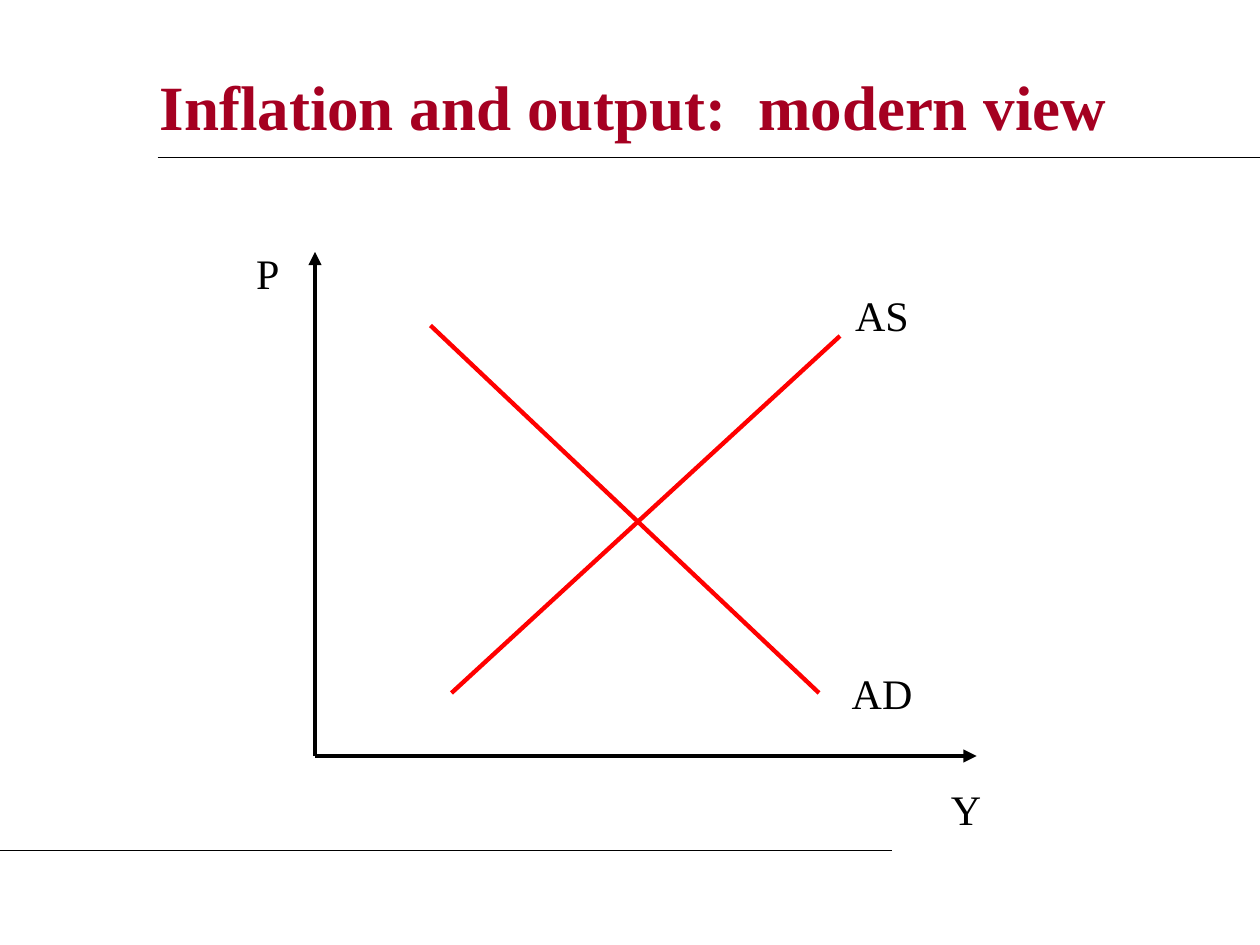
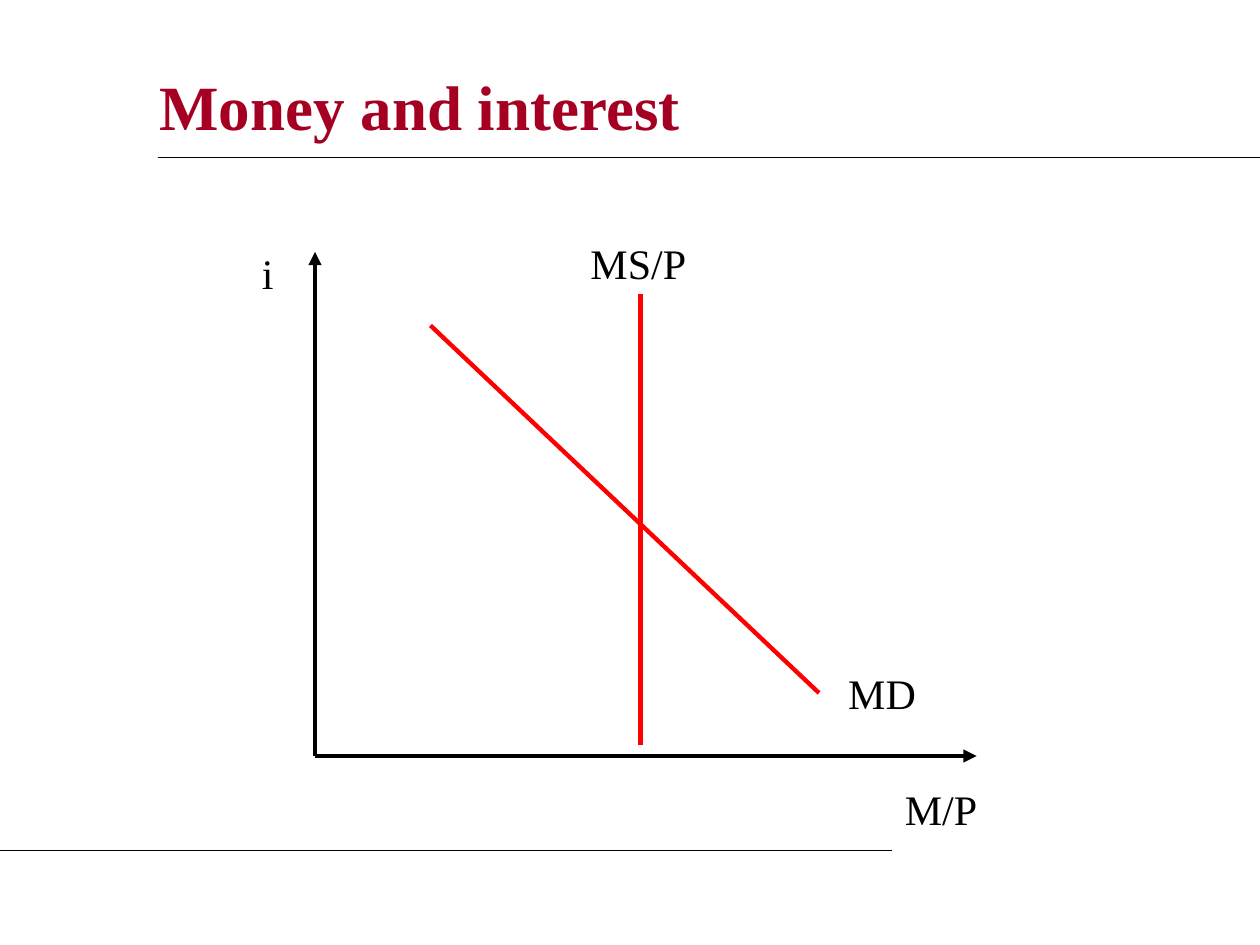
from dataclasses import dataclass

from lxml.etree import SubElement
from pptx import Presentation
from pptx.dml.color import RGBColor
from pptx.enum.shapes import MSO_CONNECTOR
from pptx.enum.text import MSO_ANCHOR, MSO_AUTO_SIZE, PP_ALIGN
from pptx.oxml.ns import qn
from pptx.util import Emu, Pt

PX = 7620  # EMU per px, 120 px to the inch
PAGE_WIDTH, PAGE_HEIGHT = 1200, 900
LABEL_HEIGHT = 60


@dataclass(frozen=True)
class Theme:
    font: str = "Times New Roman"
    title_color: RGBColor = RGBColor(0xA5, 0x00, 0x21)
    ink: RGBColor = RGBColor(0x00, 0x00, 0x00)
    curve: RGBColor = RGBColor(0xFF, 0x00, 0x00)
    title_size: float = 36
    label_size: float = 24
    rule_width: float = 0.75
    plot_width: float = 2.5


@dataclass(frozen=True)
class Box:
    left: int
    top: int
    width: int
    height: int

    def point(self, x, y):
        return self.left + x, self.top + y


@dataclass(frozen=True)
class Label:
    text: str
    x: int
    y: int
    width: int
    align: PP_ALIGN = PP_ALIGN.CENTER


THEME = Theme()
TITLE_BOX = Box(140, 50, 1020, 100)
PLOT_BOX = Box(300, 240, 630, 480)

# Curves run from point to point, measured from the plot's top left corner
FALLING_CURVE = ((480, 420), (110, 70))
RISING_CURVE = ((130, 420), (500, 80))
VERTICAL_CURVE = ((310, 470), (310, 40))


def px(length):
    return Emu(length * PX)


def add_line(page, start, end, color, width, arrow=False):
    line = page.shapes.add_connector(
        MSO_CONNECTOR.STRAIGHT, *(px(value) for value in (*start, *end)))
    line.line.color.rgb = color
    line.line.width = Pt(width)
    properties = line.element.spPr
    if arrow:
        SubElement(properties.find(qn("a:ln")), qn("a:tailEnd"), type="triangle")
    SubElement(properties, qn("a:effectLst"))


def add_text(para, text, size, color, bold=False):
    span = para.add_run()
    span.text = text
    span.font.name = THEME.font
    span.font.size = Pt(size)
    span.font.bold = bold
    span.font.color.rgb = color


def add_title(page, box, text):
    title = page.shapes.title
    title.left, title.top = px(box.left), px(box.top)
    title.width, title.height = px(box.width), px(box.height)
    frame = title.text_frame
    frame.auto_size = MSO_AUTO_SIZE.NONE
    frame.vertical_anchor = MSO_ANCHOR.MIDDLE
    para = frame.paragraphs[0]
    para.alignment = PP_ALIGN.LEFT
    add_text(para, text, THEME.title_size, THEME.title_color, bold=True)


def add_rules(page):
    """Thin lines under the title and above the foot of the page."""
    for start, end in (((150, 150), (PAGE_WIDTH, 150)), ((0, 810), (850, 810))):
        add_line(page, start, end, THEME.ink, THEME.rule_width)


def add_label(page, box, label):
    left, top = box.point(label.x, label.y)
    shape = page.shapes.add_textbox(
        px(left), px(top), px(label.width), px(LABEL_HEIGHT))
    frame = shape.text_frame
    frame.word_wrap = True
    frame.auto_size = MSO_AUTO_SIZE.SHAPE_TO_FIT_TEXT
    para = frame.paragraphs[0]
    para.alignment = label.align
    add_text(para, label.text, THEME.label_size, THEME.ink)


def add_plot(page, box, curves, labels):
    # Axes share the bottom left corner
    origin = box.point(0, box.height)
    for end in (box.point(box.width, box.height), box.point(0, 0)):
        add_line(page, origin, end, THEME.ink, THEME.plot_width, arrow=True)
    # Curves and their names
    for start, end in curves:
        add_line(page, box.point(*start), box.point(*end),
                 THEME.curve, THEME.plot_width)
    for label in labels:
        add_label(page, box, label)


def add_plot_page(deck, title, curves, labels):
    page = deck.slides.add_slide(deck.slide_layouts.get_by_name("Title Only"))
    add_title(page, TITLE_BOX, title)
    add_rules(page)
    add_plot(page, PLOT_BOX, curves, labels)


def main():
    deck = Presentation()
    deck.slide_width, deck.slide_height = px(PAGE_WIDTH), px(PAGE_HEIGHT)

    add_plot_page(
        deck, "Inflation and output:  modern view",
        (RISING_CURVE, FALLING_CURVE),
        (Label("Y", 580, 500, 80), Label("P", -80, -10, 70),
         Label("AS", 500, 30, 80), Label("AD", 490, 390, 100)))
    add_plot_page(
        deck, "Money and interest",
        (VERTICAL_CURVE, FALLING_CURVE),
        (Label("M/P", 550, 500, 100, PP_ALIGN.LEFT), Label("i", -80, -10, 70),
         Label("MS/P", 248, -20, 120), Label("MD", 490, 390, 100)))

    deck.save("out.pptx")


if __name__ == "__main__":
    main()
